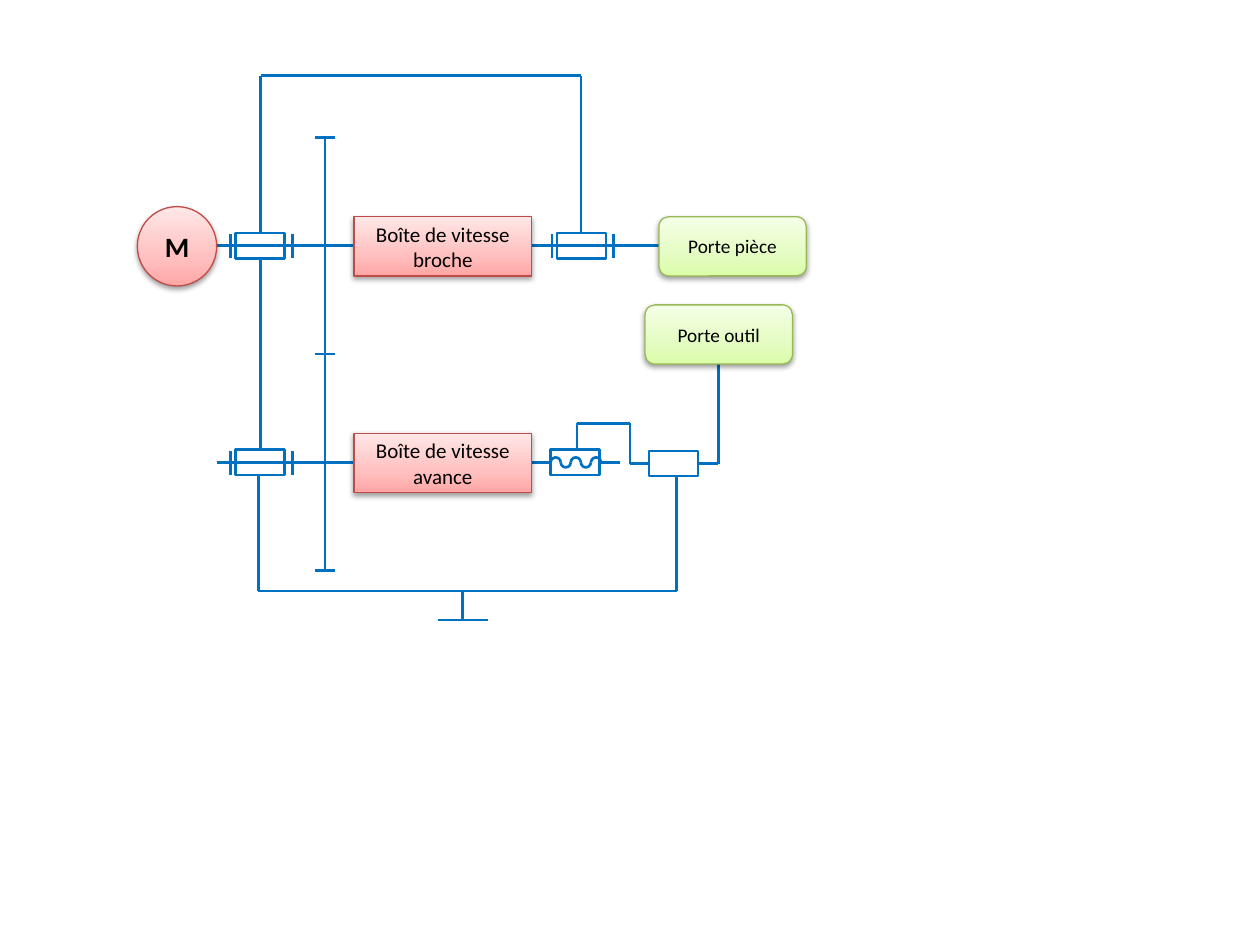
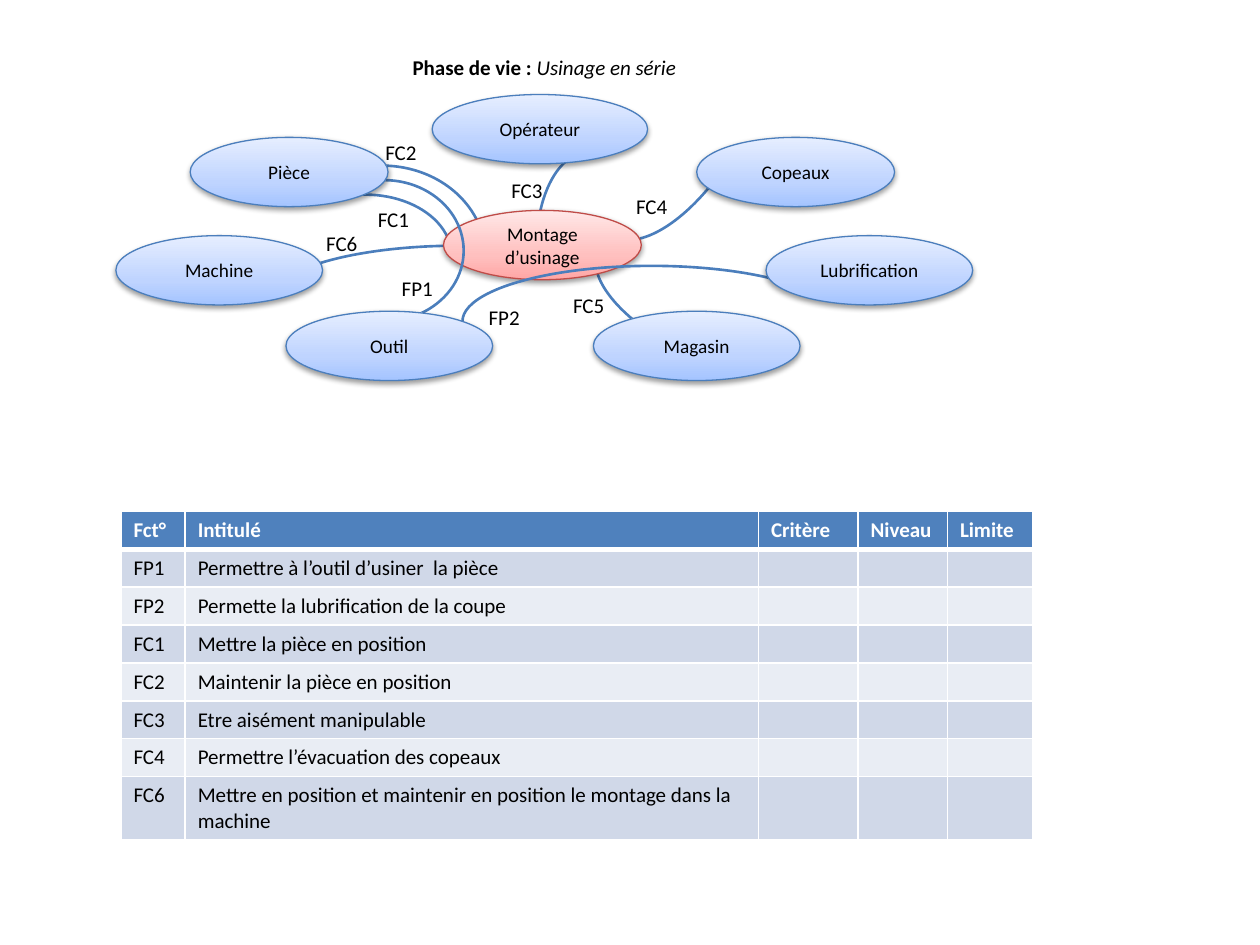
from copy import deepcopy
from typing import Any, NamedTuple

from lxml.etree import SubElement
from pptx import Presentation
from pptx.dml.color import RGBColor
from pptx.enum.shapes import MSO_CONNECTOR, MSO_SHAPE as Preset
from pptx.enum.text import MSO_ANCHOR, MSO_AUTO_SIZE, PP_ALIGN
from pptx.oxml.ns import qn
from pptx.util import Inches, Pt

COLUMNS, ROWS = 100, 75
SLIDE_WIDTH, SLIDE_HEIGHT = Inches(10), Inches(7.5)
FONT = "Calibri"
BLACK = RGBColor(0x00, 0x00, 0x00)
WHITE = RGBColor(0xFF, 0xFF, 0xFF)
MECHANISM_BLUE = RGBColor(0x00, 0x70, 0xC0)
LINK_BLUE = RGBColor(0x4B, 0x7E, 0xBC)
HEADER_BLUE = RGBColor(0x4F, 0x81, 0xBD)
BAND_DARK = RGBColor(0xD0, 0xD8, 0xE8)
BAND_LIGHT = RGBColor(0xE9, 0xED, 0xF4)
GREEN_LINE = RGBColor(0x98, 0xB9, 0x55)
RED_LINE = RGBColor(0xBF, 0x4C, 0x48)
RED_STOPS = (RGBColor(0xFF, 0xA6, 0xA5), RGBColor(0xFF, 0xC0, 0xBF), RGBColor(0xFF, 0xE7, 0xE7))
GREEN_STOPS = (RGBColor(0xDA, 0xFD, 0xA7), RGBColor(0xE4, 0xFC, 0xC2), RGBColor(0xF5, 0xFF, 0xE7))
BLUE_STOPS = (RGBColor(0xA4, 0xC4, 0xFF), RGBColor(0xBF, 0xD4, 0xFF), RGBColor(0xE6, 0xEE, 0xFF))
STOP_POSITIONS = (0, 0.35, 1)


class Box(NamedTuple):
    column: float
    row: float
    width: float
    height: float


class Theme(NamedTuple):
    stops: tuple[RGBColor, ...]
    line: RGBColor


class Block(NamedTuple):
    text: str
    box: Box
    theme: Theme
    preset: Any
    size: int = 11
    bold: bool = False


class Arc(NamedTuple):
    box: Box
    start: float
    end: float
    rotation: float = 0
    flipped: bool = True


RED = Theme(RED_STOPS, RED_LINE)
GREEN = Theme(GREEN_STOPS, GREEN_LINE)
BLUE = Theme(BLUE_STOPS, LINK_BLUE)

SPINDLE_ROW, FEED_ROW = 19.5, 36.7
GEAR_COLUMN = 25.8
GEAR_ROWS = (10.9, 28.1, 45.3)
PATHS = [
    [(20.7, 18.5), (20.7, 6), (46.1, 6), (46.1, 18.5)],
    [(20.7, 20.5), (20.7, 35.7)],
    [(20.5, 37.8), (20.5, 46.9), (53.7, 46.9), (53.7, 37.8)],
    [(36.7, 46.9), (36.7, 49.2)],
    [(34.8, 49.2), (38.7, 49.2)],
    [(45.8, 35.7), (45.8, 33.6), (50, 33.6), (50, 36.8), (51.5, 36.8)],
    [(55.4, 36.8), (57, 36.8), (57, 28.1)],
    [(17.2, SPINDLE_ROW), (28.1, SPINDLE_ROW)],
    [(42.2, SPINDLE_ROW), (52.3, SPINDLE_ROW)],
    [(17.2, FEED_ROW), (28.1, FEED_ROW)],
    [(42.2, FEED_ROW), (43.7, FEED_ROW)],
    [(47.7, FEED_ROW), (49.2, FEED_ROW)],
    [(GEAR_COLUMN, GEAR_ROWS[0]), (GEAR_COLUMN, GEAR_ROWS[-1])],
]
BEARINGS = [(18.7, 18.5), (18.7, 35.7), (44.2, 18.5)]
SCREW_NUT = Box(43.7, 35.7, 3.9, 2)
SLIDEWAY = Box(51.5, 35.8, 3.9, 2)
WAVE_COUNT, WAVE_STEP = 5, 0.8
MACHINE_BLOCKS = [
    Block("M", Box(10.9, 16.4, 6.3, 6.3), RED, Preset.OVAL, 16, True),
    Block("Boîte de vitesse broche", Box(28.1, 17.2, 14.1, 4.7), RED, Preset.RECTANGLE, 12),
    Block("Boîte de vitesse avance", Box(28.1, 34.4, 14.1, 4.7), RED, Preset.RECTANGLE, 12),
    Block("Porte pièce", Box(52.3, 17.2, 11.7, 4.7), GREEN, Preset.ROUNDED_RECTANGLE),
    Block("Porte outil", Box(51.2, 24.2, 11.7, 4.7), GREEN, Preset.ROUNDED_RECTANGLE),
]

ARCS_BEHIND = [
    Arc(Box(31.9, 8.9, 8.8, 30), 183.51, 51.58, 270),
    Arc(Box(24.1, 13.5, 9.8, 13.7), 167.37, 9.53, 270),
    Arc(Box(23.1, 12.2, 14.5, 16.4), 167.37, 9.53, 270),
    Arc(Box(41.3, 1.3, 25.7, 11.9), 111.29, 136.85, 296.4),
    Arc(Box(39.3, 15.4, 14.7, 8.1), 169.46, 0, 270, False),
    Arc(Box(46.6, 19.1, 23.4, 10.2), 111.29, 133.88, 21.7),
]
ARCS_IN_FRONT = [
    Arc(Box(24.9, 13.6, 11.2, 12.6), 107.08, 9.53, 270),
    Arc(Box(47.3, 10.5, 8.8, 30), 170.39, 58.86, 270),
]
FIXTURE = Block("Montage d’usinage", Box(35.2, 16.7, 15.7, 5.5), RED, Preset.OVAL)
SURROUNDINGS = [
    Block(text, Box(column, row, width, 5.5), BLUE, Preset.OVAL)
    for text, column, row, width in [
        ("Copeaux", 55.3, 10.9, 15.7),
        ("Pièce", 15.1, 10.9, 15.7),
        ("Opérateur", 34.3, 7.5, 17.1),
        ("Magasin", 47.1, 24.7, 16.4),
        ("Machine", 9.2, 18.7, 16.4),
        ("Lubrification", 60.8, 18.7, 16.4),
        ("Outil", 22.7, 24.7, 16.4),
    ]
]
LABELS = {
    "FC1": (29, 15.9), "FC2": (29.6, 10.6), "FC3": (39.6, 13.6), "FC4": (49.5, 14.9),
    "FC5": (44.5, 22.7), "FC6": (24.9, 17.8), "FP1": (30.9, 21.4), "FP2": (37.8, 23.7),
}
TABLE_BOX = Box(9.6, 40.6, 72.4, 25.9)
TABLE_COLUMNS = (5.1, 45.5, 7.9, 7.1, 6.8)
ROW_HEIGHT, LAST_ROW_HEIGHT = 3, 4.9
FUNCTIONS = [
    ("Fct°", "Intitulé", "Critère", "Niveau", "Limite"),
    ("FP1", "Permettre à l’outil d’usiner  la pièce"),
    ("FP2", "Permette la lubrification de la coupe"),
    ("FC1", "Mettre la pièce en position"),
    ("FC2", "Maintenir la pièce en position"),
    ("FC3", "Etre aisément manipulable"),
    ("FC4", "Permettre l’évacuation des copeaux"),
    ("FC6", "Mettre en position et maintenir en position le montage dans la machine"),
]


def across(columns: float) -> int:
    return round(SLIDE_WIDTH * columns / COLUMNS)


def down(rows: float) -> int:
    return round(SLIDE_HEIGHT * rows / ROWS)


def place(box: Box) -> tuple[int, int, int, int]:
    return across(box.column), down(box.row), across(box.width), down(box.height)


def apply(target: Any, values: dict[str, Any]) -> None:
    for name, value in values.items():
        setattr(target, name, value)


def write(paragraph: Any, text: str, size: int = 12, color: RGBColor = BLACK, **styles: bool) -> None:
    run = paragraph.add_run()
    run.text = text
    apply(run.font, {"name": FONT, "size": Pt(size), **styles})
    run.font.color.rgb = color


def stroke(line: Any, color: RGBColor, width: float = 1.5) -> None:
    line.color.rgb = color
    line.width = Pt(width)


def draw_path(slide: Any, points: list[tuple[float, float]]) -> None:
    for start, end in zip(points, points[1:]):
        connector = slide.shapes.add_connector(
            MSO_CONNECTOR.STRAIGHT, across(start[0]), down(start[1]), across(end[0]), down(end[1])
        )
        stroke(connector.line, MECHANISM_BLUE)
        SubElement(connector._element.spPr, qn("a:effectLst"))


def draw_outline(slide: Any, preset: Any, box: Box, color: RGBColor) -> Any:
    shape = slide.shapes.add_shape(preset, *place(box))
    shape.shadow.inherit = False
    shape.fill.background()
    stroke(shape.line, color)
    return shape


def draw_arc(slide: Any, arc: Arc, color: RGBColor) -> None:
    shape = draw_outline(slide, Preset.ARC, arc.box, color)
    shape.rotation = arc.rotation
    for index, adjustment in enumerate((arc.start, arc.end)):
        shape.adjustments[index] = adjustment
    if arc.flipped:
        shape._element.spPr.find(qn("a:xfrm")).set("flipV", "1")


def draw_bearing(slide: Any, column: float, row: float) -> None:
    draw_outline(slide, Preset.RECTANGLE, Box(column, row, 3.9, 2), MECHANISM_BLUE)
    for side in (column - 0.4, column + 4.5):
        draw_path(slide, [(side, row + 0.1), (side, row + 2)])


def fill_gradient(shape: Any, colors: tuple[RGBColor, ...]) -> None:
    shape.fill.gradient()
    shape.fill.gradient_angle = 90
    stop_list = shape._element.spPr.find(qn("a:gradFill")).find(qn("a:gsLst"))
    stop_list.insert(1, deepcopy(stop_list[0]))
    for stop, color, position in zip(shape.fill.gradient_stops, colors, STOP_POSITIONS):
        stop.color.rgb = color
        stop.position = position


def cast_shadow(shape: Any) -> None:
    shape.shadow.inherit = False
    effects = shape._element.spPr.find(qn("a:effectLst"))
    shadow = SubElement(
        effects, qn("a:outerShdw"), blurRad="40000", dist="20000", dir="5400000", rotWithShape="0"
    )
    color = SubElement(shadow, qn("a:srgbClr"), val=str(BLACK))
    SubElement(color, qn("a:alpha"), val="38000")


def draw_block(slide: Any, block: Block) -> None:
    shape = slide.shapes.add_shape(block.preset, *place(block.box))
    fill_gradient(shape, block.theme.stops)
    stroke(shape.line, block.theme.line, 0.75)
    cast_shadow(shape)
    shape.text_frame.vertical_anchor = MSO_ANCHOR.MIDDLE
    paragraph = shape.text_frame.paragraphs[0]
    paragraph.alignment = PP_ALIGN.CENTER
    write(paragraph, block.text, block.size, bold=block.bold)


def add_text(slide: Any, box: Box) -> Any:
    frame = slide.shapes.add_textbox(*place(box)).text_frame
    apply(frame, {"word_wrap": True, "auto_size": MSO_AUTO_SIZE.SHAPE_TO_FIT_TEXT})
    return frame.paragraphs[0]


def border_cell(cell: Any, top: int, bottom: int) -> None:
    properties = cell._tc.get_or_add_tcPr()
    for index, (side, width) in enumerate({"L": 1, "R": 1, "T": top, "B": bottom}.items()):
        line = SubElement(properties, qn(f"a:ln{side}"), w=str(Pt(width)))
        SubElement(SubElement(line, qn("a:solidFill")), qn("a:srgbClr"), val=str(WHITE))
        properties.insert(index, line)


def draw_table(slide: Any) -> None:
    table = slide.shapes.add_table(len(FUNCTIONS), len(TABLE_COLUMNS), *place(TABLE_BOX)).table
    for column, width in zip(table.columns, TABLE_COLUMNS):
        column.width = across(width)
    last = len(FUNCTIONS) - 1
    for index, (row, texts) in enumerate(zip(table.rows, FUNCTIONS)):
        row.height = down(LAST_ROW_HEIGHT if index == last else ROW_HEIGHT)
        header = index == 0
        fill = HEADER_BLUE if header else BAND_DARK if index % 2 else BAND_LIGHT
        for position, cell in enumerate(row.cells):
            cell.fill.solid()
            cell.fill.fore_color.rgb = fill
            border_cell(cell, 3 if index == 1 else 1, 3 if header else 1)
            paragraph = cell.text_frame.paragraphs[0]
            if position < len(texts):
                write(paragraph, texts[position], color=WHITE if header else BLACK, bold=header)
            SubElement(paragraph._p, qn("a:endParaRPr"), sz="1200")


def build_kinematics(slide: Any) -> None:
    for path in PATHS:
        draw_path(slide, path)
    for row in GEAR_ROWS:
        draw_path(slide, [(GEAR_COLUMN - 0.8, row), (GEAR_COLUMN + 0.8, row)])
    for column, row in BEARINGS:
        draw_bearing(slide, column, row)
    for box in (SCREW_NUT, SLIDEWAY):
        draw_outline(slide, Preset.RECTANGLE, box, MECHANISM_BLUE)
    for index in range(WAVE_COUNT):
        box = Box(SCREW_NUT.column + index * WAVE_STEP, 36.3, WAVE_STEP, WAVE_STEP)
        draw_arc(slide, Arc(box, 108.43, 0, flipped=index % 2 == 1), MECHANISM_BLUE)
    for block in MACHINE_BLOCKS:
        draw_block(slide, block)


def build_functions(slide: Any) -> None:
    title = add_text(slide, Box(9.2, 3.8, 68, 3))
    title.alignment = PP_ALIGN.CENTER
    write(title, "Phase de vie : ", bold=True)
    write(title, "Usinage en série", italic=True)
    for arc in ARCS_BEHIND:
        draw_arc(slide, arc, LINK_BLUE)
    draw_block(slide, FIXTURE)
    for arc in ARCS_IN_FRONT:
        draw_arc(slide, arc, LINK_BLUE)
    for block in SURROUNDINGS:
        draw_block(slide, block)
    for text, (column, row) in LABELS.items():
        write(add_text(slide, Box(column, row, 8.6, 3)), text)
    draw_table(slide)


def main() -> None:
    presentation = Presentation()
    apply(presentation, {"slide_width": SLIDE_WIDTH, "slide_height": SLIDE_HEIGHT})
    for build in (build_kinematics, build_functions):
        build(presentation.slides.add_slide(presentation.slide_layouts[6]))
    presentation.save("out.pptx")


if __name__ == "__main__":
    main()
